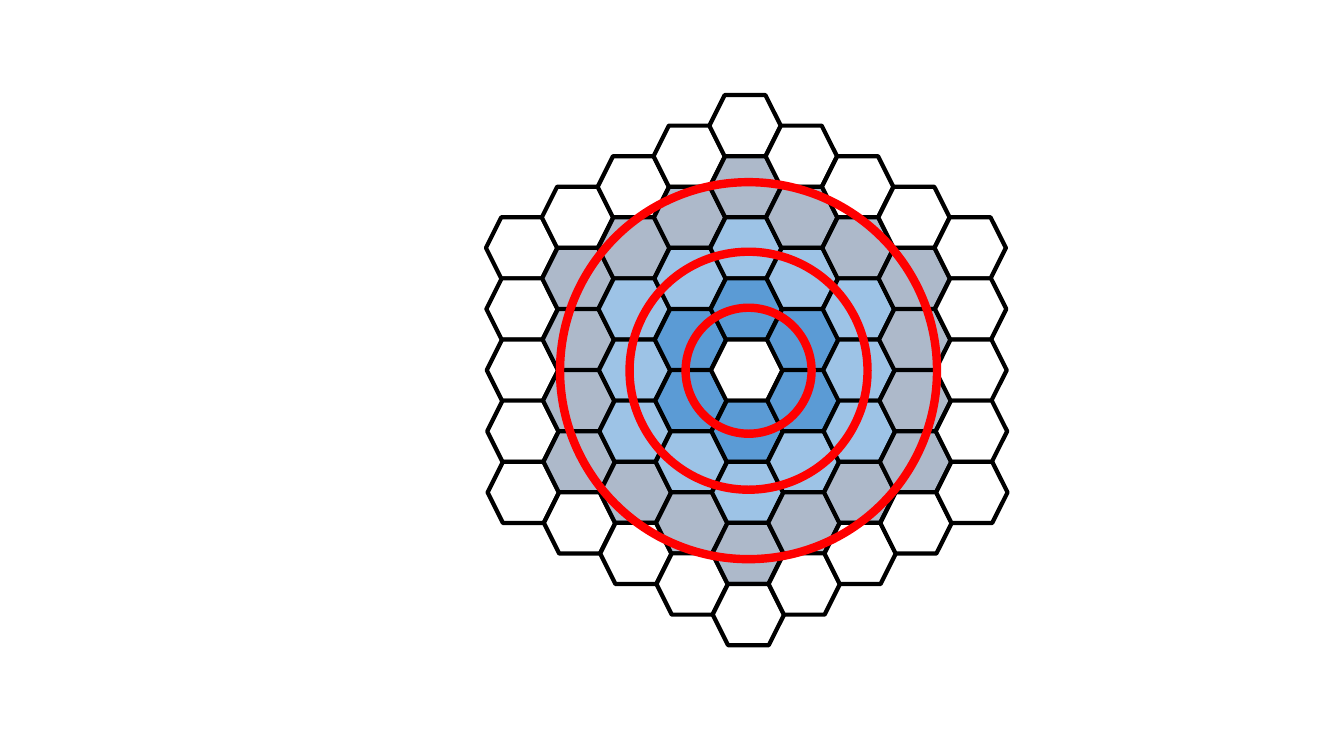
import pptx
import pptx.util
import pptx.dml.color
import pptx.enum.shapes

Pt = pptx.util.Pt
SHAPES = pptx.enum.shapes.MSO_SHAPE
COLORS = {
    "white": "FFFFFF",
    "blue": "5B9BD5",
    "light_blue": "9DC3E6",
    "gray": "ADB9CA",
    "outline": "000000",
    "range": "FF0000",
}
RING_FILLS = ["white", "blue", "light_blue", "gray", "white"]
RINGS = len(RING_FILLS) - 1

CELL_WIDTH, CELL_HEIGHT = 51, 43.8
COLUMN_PITCH, ROW_PITCH = 40.05, 43.65
ROW_LEAN = 0.3  # sideways drift of each row
GRID_X, GRID_Y = 533.4, 264.4
CIRCLES_X, CIRCLES_Y = 534.7, 264.8
CIRCLE_DIAMETERS = [90, 170, 269.3]

prs = pptx.Presentation()
prs.slide_width, prs.slide_height = Pt(960), Pt(540)
slide = prs.slides.add_slide(prs.slide_layouts[6])


def add_centered(kind, x, y, width, height, line, weight, fill=None):
    """Add an outlined shape around the point (x, y), unfilled by default."""
    shape = slide.shapes.add_shape(
        kind, Pt(x - width / 2), Pt(y - height / 2), Pt(width), Pt(height))
    shape.shadow.inherit = False
    if fill:
        shape.fill.solid()
        shape.fill.fore_color.rgb = pptx.dml.color.RGBColor.from_string(COLORS[fill])
    else:
        shape.fill.background()
    shape.line.color.rgb = pptx.dml.color.RGBColor.from_string(COLORS[line])
    shape.line.width = Pt(weight)


# Hexagonal cells, coloured by their ring around the centre
for column in range(-RINGS, RINGS + 1):
    cells = 2 * RINGS + 1 - abs(column)
    for cell in range(cells):
        row = cell - (cells - 1) / 2
        ring = int(max(abs(column), abs(row) + abs(column) / 2))
        add_centered(
            SHAPES.HEXAGON,
            GRID_X + column * COLUMN_PITCH + row * ROW_LEAN,
            GRID_Y + row * ROW_PITCH,
            CELL_WIDTH, CELL_HEIGHT, "outline", 3, RING_FILLS[ring])

# Concentric range circles
for diameter in CIRCLE_DIAMETERS:
    add_centered(SHAPES.OVAL, CIRCLES_X, CIRCLES_Y, diameter, diameter, "range", 6)

prs.save("out.pptx")
